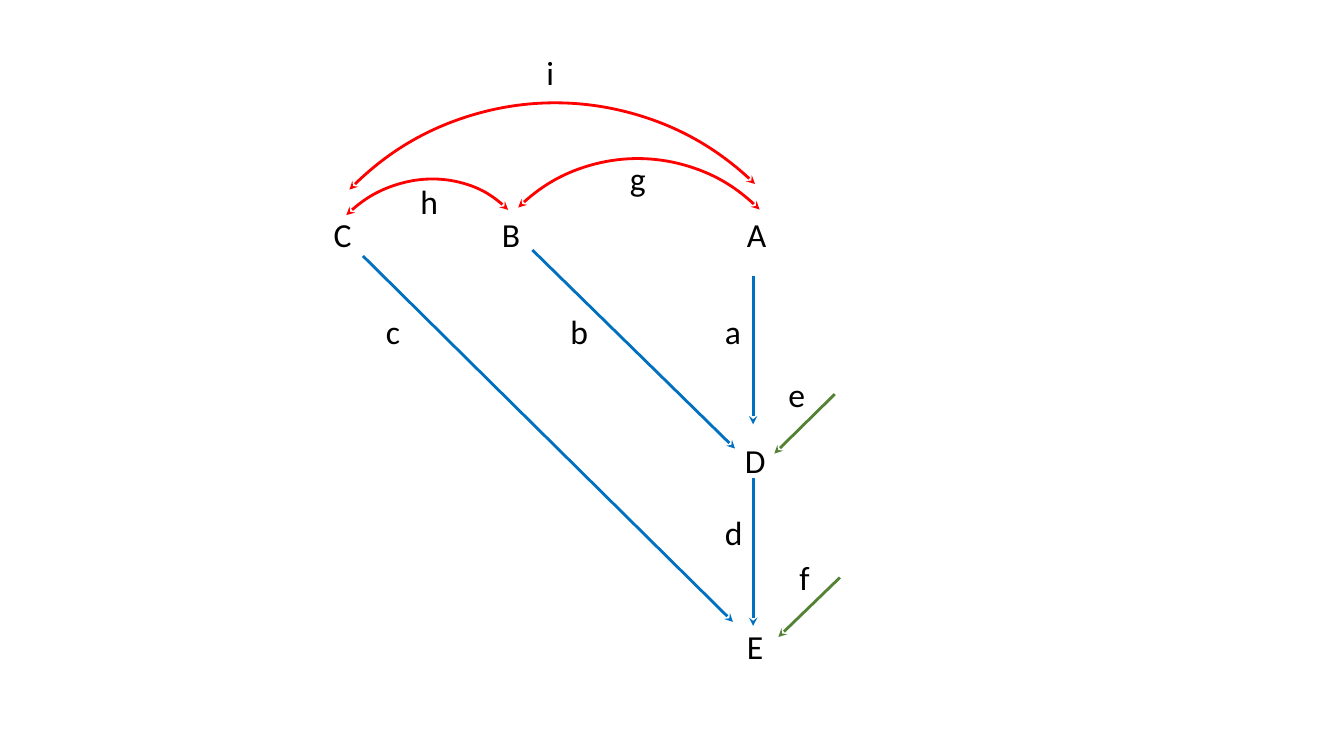
from pptx import Presentation
from pptx.dml.color import RGBColor
from pptx.enum.shapes import MSO_CONNECTOR as CONNECTOR, MSO_SHAPE as SHAPE
from pptx.enum.text import MSO_AUTO_SIZE as AUTO_SIZE
from pptx.oxml.ns import qn
from pptx.util import Inches, Pt
from lxml.etree import SubElement

RED = RGBColor(0xFF, 0x00, 0x00)
BLUE = RGBColor(0x00, 0x70, 0xC0)
GREEN = RGBColor(0x54, 0x82, 0x35)
BLACK = RGBColor(0x00, 0x00, 0x00)

LABEL_HEIGHT = 0.5
VARIABLE_ROW, COEFFICIENT_ROW = 2.07, 3.04

variables = [
    ("A", 7.31, VARIABLE_ROW, 0.4),
    ("B", 4.88, VARIABLE_ROW, 0.38),
    ("C", 3.21, VARIABLE_ROW, 0.38),
    ("D", 7.29, 4.32, 0.41),
    ("E", 7.31, 6.16, 0.37),
]
coefficients = [
    ("a", 7.09, COEFFICIENT_ROW, 0.36),
    ("b", 5.56, COEFFICIENT_ROW, 0.38),
    ("c", 3.73, COEFFICIENT_ROW, 0.34),
    ("d", 7.09, 5.03, 0.38),
    ("e", 7.72, 3.66, 0.37),
    ("f", 7.83, 5.48, 0.31),
    ("g", 6.15, 1.52, 0.36),
    ("h", 4.07, 1.75, 0.38),
    ("i", 5.32, 0.47, 0.28),
]
causal_paths = [
    ((7.47, 2.74), (7.47, 4.21)),
    ((5.28, 2.48), (7.29, 4.45)),
    ((3.6, 2.54), (7.27, 6.17)),
    ((7.47, 4.74), (7.47, 6.21)),
]
residual_paths = [
    ((8.28, 3.91), (7.68, 4.5)),
    ((8.33, 5.73), (7.72, 6.32)),
]
correlations = [
    (4.64, 1.57, 3.38, 3.39, 315.4),
    (3.02, 1.82, 2.36, 2.18, 315.4),
    (2.66, 1.02, 5.69, 5.69, 314.2),
]

deck = Presentation()
deck.slide_width, deck.slide_height = Inches(13.33), Inches(7.5)
diagram = deck.slides.add_slide(deck.slide_layouts[6])


def add_label(text, left, top, width, size=24, color=BLACK, font="Calibri"):
    label = diagram.shapes.add_textbox(*map(Inches, (left, top, width, LABEL_HEIGHT)))
    frame = label.text_frame
    frame.word_wrap = False
    frame.auto_size = AUTO_SIZE.SHAPE_TO_FIT_TEXT
    run = frame.paragraphs[0].add_run()
    run.text = text
    run.font.size, run.font.name = Pt(size), font
    run.font.color.rgb = color


def style_line(path_shape, color, ends):
    path_shape.line.color.rgb = color
    path_shape.line.width = Pt(2)
    outline = path_shape.element.spPr.find(qn("a:ln"))
    for end in ends:
        SubElement(outline, qn(f"a:{end}"), type="stealth")


def add_arrow(start, finish, color):
    arrow = diagram.shapes.add_connector(
        CONNECTOR.STRAIGHT, *map(Inches, start + finish))
    style_line(arrow, color, ["tailEnd"])
    SubElement(arrow.element.spPr, qn("a:effectLst"))


def add_correlation(left, top, width, height, rotation):
    arc = diagram.shapes.add_shape(SHAPE.ARC, *map(Inches, (left, top, width, height)))
    arc.rotation = rotation
    arc.fill.background()
    style_line(arc, RED, ["headEnd", "tailEnd"])
    arc.shadow.inherit = False


for correlation in correlations:
    add_correlation(*correlation)
for color, paths in ((BLUE, causal_paths), (GREEN, residual_paths)):
    for start, finish in paths:
        add_arrow(start, finish, color)
for label in variables + coefficients:
    add_label(*label)

deck.save("out.pptx")
